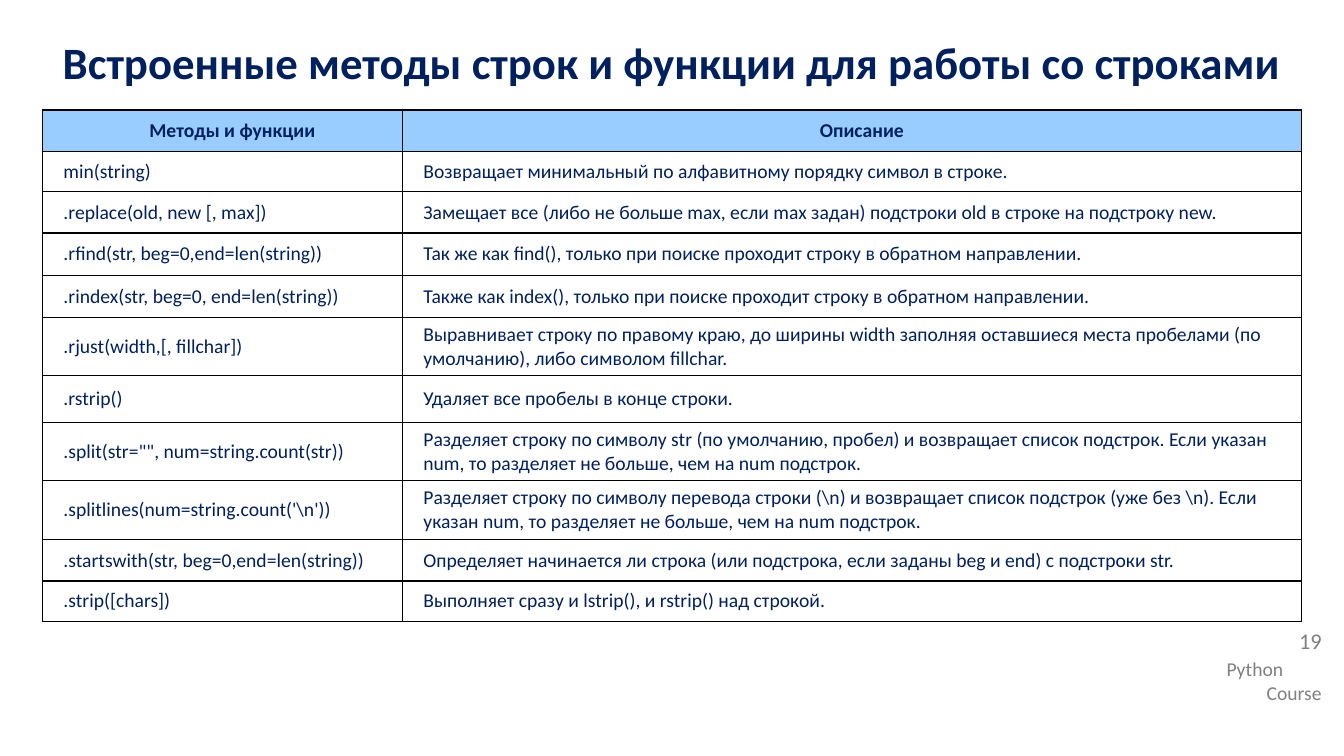
from lxml.etree import SubElement
from pptx import Presentation
from pptx.dml.color import RGBColor
from pptx.enum.text import MSO_ANCHOR as Anchor, PP_ALIGN as Align
from pptx.oxml.ns import qn
from pptx.util import Cm, Pt

COLORS = {"text": "002060", "header": "99CCFF", "border": "000000", "footer": "808080"}
FONT = "Calibri"
SLIDE_WIDTH, SLIDE_HEIGHT = 33.87, 19.05
COLUMN_WIDTHS = (9.07, 22.66)
CELL_MARGIN, CELL_INDENT = 0.03, 0.53

TITLE = "Встроенные методы строк и функции для работы со строками"
HEADINGS = ("Методы и функции", "Описание")
# Each row: height in cm, method, description
METHODS = [
    (1.02, "min(string)",
     "Возвращает минимальный по алфавитному порядку символ в строке."),
    (1.04, ".replace(old, new [, max])",
     "Замещает все (либо не больше max, если max задан) подстроки old в строке на подстроку new."),
    (1.07, ".rfind(str, beg=0,end=len(string))",
     "Так же как find(), только при поиске проходит строку в обратном направлении."),
    (1.07, ".rindex(str, beg=0, end=len(string))",
     "Также как index(), только при поиске проходит строку в обратном направлении."),
    (1.45, ".rjust(width,[, fillchar])",
     "Выравнивает строку по правому краю, до ширины width заполняя оставшиеся места пробелами "
     "(по умолчанию), либо символом fillchar."),
    (1.19, ".rstrip()",
     "Удаляет все пробелы в конце строки."),
    (1.45, '.split(str="", num=string.count(str))',
     "Разделяет строку по символу str (по умолчанию, пробел) и возвращает список подстрок. "
     "Если указан num, то разделяет не больше, чем на num подстрок."),
    (1.5, r".splitlines(num=string.count('\n'))",
     r"Разделяет строку по символу перевода строки (\n) и возвращает список подстрок "
     r"(уже без \n). Если указан num, то разделяет не больше, чем на num подстрок."),
    (1.04, ".startswith(str, beg=0,end=len(string))",
     "Определяет начинается ли строка (или подстрока, если заданы beg и end) с подстроки str."),
    (1.02, ".strip([chars])",
     "Выполняет сразу и lstrip(), и rstrip() над строкой."),
]


def rgb(name):
    return RGBColor.from_string(COLORS[name])


def format_paragraph(paragraph, size, color, bold=False, align=Align.LEFT):
    paragraph.alignment = align
    for run in paragraph.runs:
        run.font.name = FONT
        run.font.size = Pt(size)
        run.font.bold = bold
        run.font.color.rgb = rgb(color)


def add_text_frame(slide, left, top, width, height, text, anchor=Anchor.TOP):
    box = slide.shapes.add_textbox(Cm(left), Cm(top), Cm(width), Cm(height))
    frame = box.text_frame
    frame.word_wrap = True
    frame.vertical_anchor = anchor
    frame.text = text
    return frame


def add_title(slide, left, top, width, height):
    frame = add_text_frame(slide, left, top, width, height, TITLE, Anchor.MIDDLE)
    paragraph = frame.paragraphs[0]
    format_paragraph(paragraph, 32, "text", bold=True, align=Align.CENTER)
    paragraph.space_before = paragraph.space_after = Pt(5)


def add_borders(cell):
    """Draw a thin line on all four sides; call before setting the fill."""
    properties = cell._tc.get_or_add_tcPr()
    for side in ("lnL", "lnR", "lnT", "lnB"):
        line = SubElement(properties, qn(f"a:{side}"), w=str(Pt(1)))
        fill = SubElement(line, qn("a:solidFill"))
        SubElement(fill, qn("a:srgbClr"), val=COLORS["border"])


def fill_cell(cell, text, is_header):
    cell.margin_left = Cm(CELL_INDENT)
    cell.margin_right = cell.margin_top = cell.margin_bottom = Cm(CELL_MARGIN)
    cell.vertical_anchor = Anchor.MIDDLE
    add_borders(cell)
    if is_header:
        cell.fill.solid()
        cell.fill.fore_color.rgb = rgb("header")
    else:
        cell.fill.background()
    cell.text_frame.text = text
    format_paragraph(cell.text_frame.paragraphs[0], 14, "text", bold=is_header,
                     align=Align.CENTER if is_header else Align.LEFT)


def add_methods_table(slide, left, top):
    rows = [(1.04, *HEADINGS), *METHODS]
    height = sum(row[0] for row in rows)
    table = slide.shapes.add_table(len(rows), len(COLUMN_WIDTHS), Cm(left), Cm(top),
                                   Cm(sum(COLUMN_WIDTHS)), Cm(height)).table
    for column, width in zip(table.columns, COLUMN_WIDTHS):
        column.width = Cm(width)
    for index, (row_height, *texts) in enumerate(rows):
        row = table.rows[index]
        row.height = Cm(row_height)
        for cell, text in zip(row.cells, texts):
            fill_cell(cell, text, is_header=index == 0)


def add_footer(slide, left, top, width):
    """Place the slide number above the two-line course name."""
    number = add_text_frame(slide, left, top, width, 1.14, "19").paragraphs[0]
    format_paragraph(number, 16, "footer", align=Align.RIGHT)
    number.line_spacing = 0.9
    number.space_before = Pt(10)

    course = add_text_frame(slide, left, top + 0.68, width, 1.45, "Python\nCourse")
    for paragraph, align in zip(course.paragraphs, (Align.LEFT, Align.RIGHT)):
        format_paragraph(paragraph, 14, "footer", align=align)


def main():
    presentation = Presentation()
    presentation.slide_width = Cm(SLIDE_WIDTH)
    presentation.slide_height = Cm(SLIDE_HEIGHT)
    slide = presentation.slides.add_slide(presentation.slide_layouts[6])
    add_footer(slide, 30.66, 15.75, 2.9)
    add_title(slide, 0, 0.58, SLIDE_WIDTH, 1.93)
    add_methods_table(slide, 1.07, 2.77)
    presentation.save("out.pptx")


if __name__ == "__main__":
    main()
